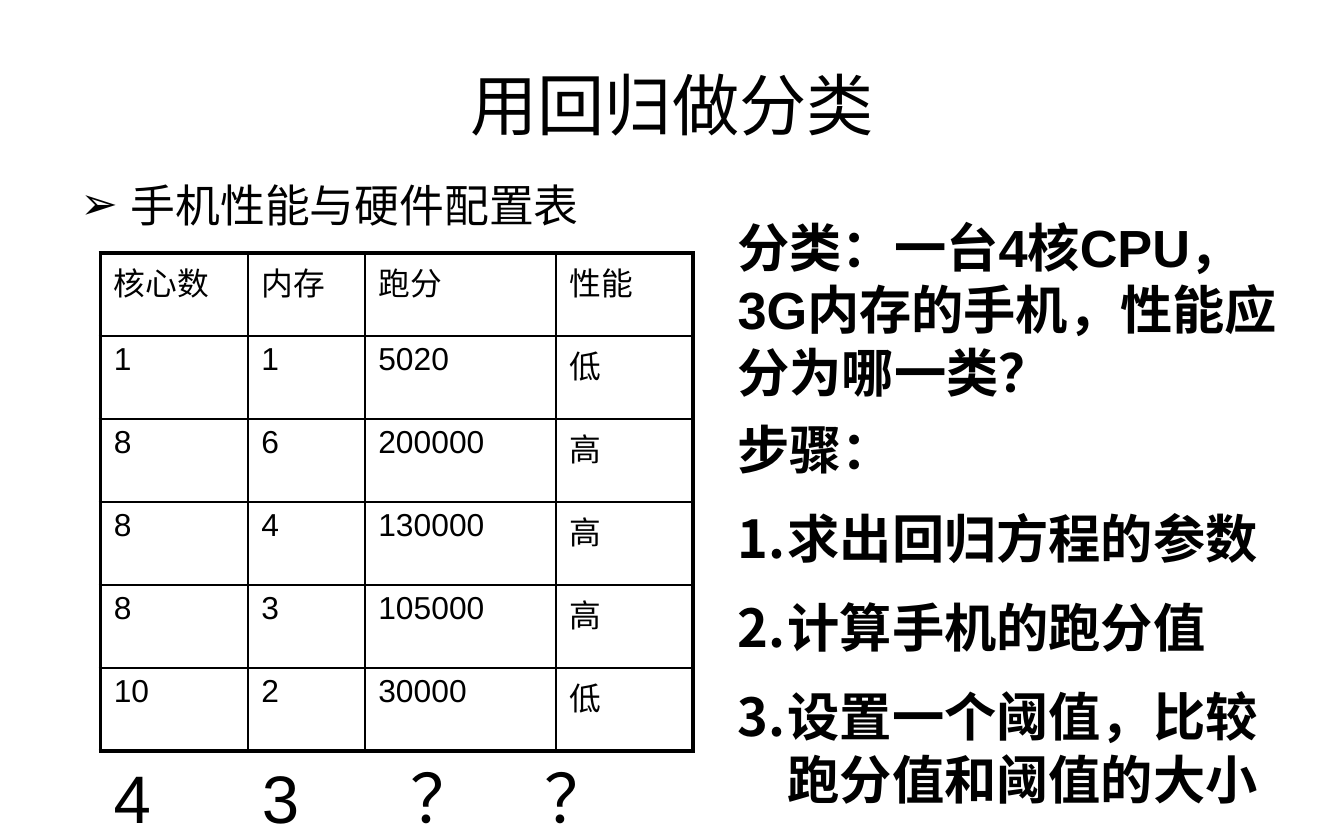
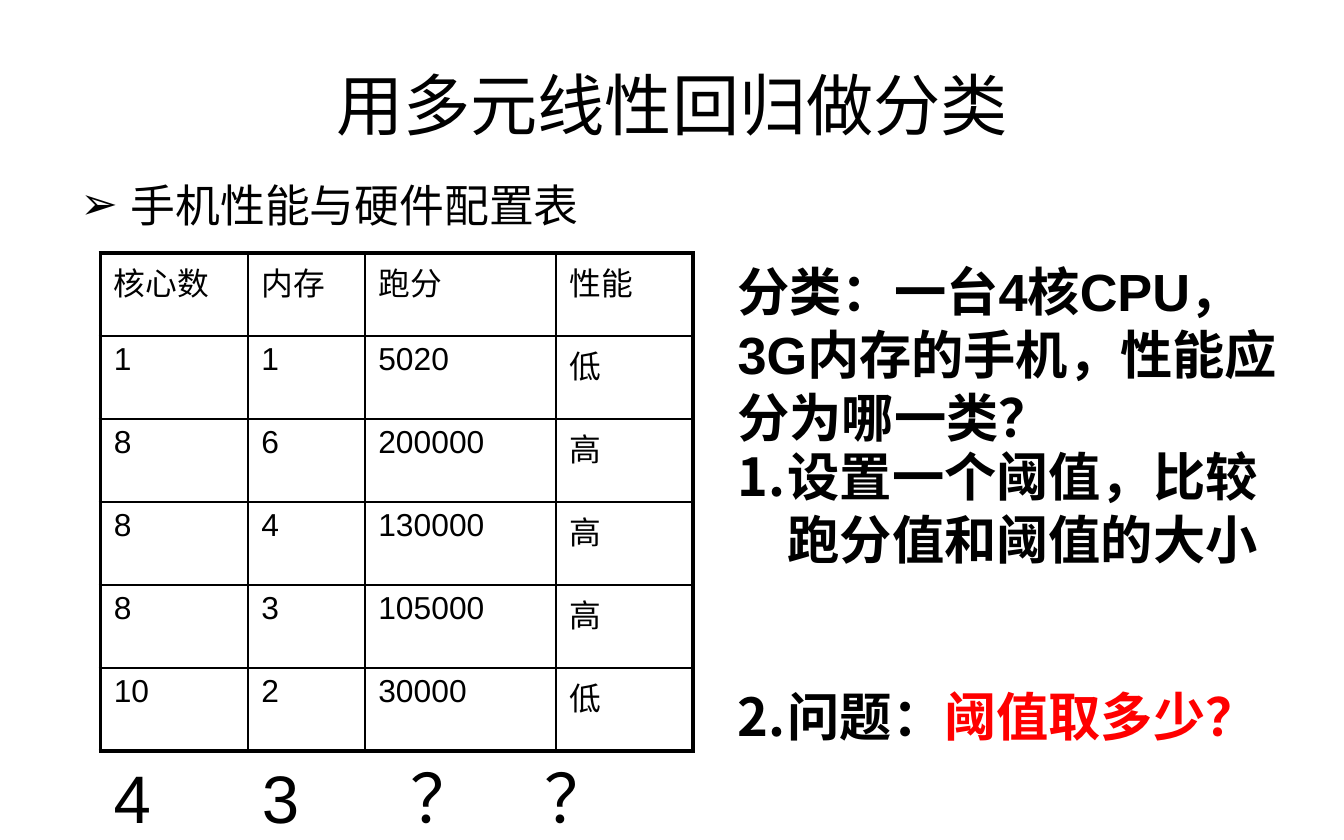
from dataclasses import dataclass

from pptx import Presentation, util as u
from pptx.dml.color import RGBColor
from pptx.enum import lang, text
from pptx.oxml.ns import qn
from lxml import etree

FONT = "Arial"
BLACK, RED = "000000", "FF0000"
THIN, THICK = 1, 2.25
HANGING = 0.95

PHONES = [
    ("核心数", "内存", "跑分", "性能"),
    ("1", "1", "5020", "低"),
    ("8", "6", "200000", "高"),
    ("8", "4", "130000", "高"),
    ("8", "3", "105000", "高"),
    ("10", "2", "30000", "低"),
]
COLUMN_WIDTHS = (2.79, 2.21, 3.61, 2.59)
ROW_HEIGHT = 1.57
UNKNOWN_PHONE = "4\t3\t？\t？"
UNKNOWN_TABS = (2.8, 5.6, 8.15)
QUESTION = "分类：一台4核CPU，3G内存的手机，性能应分为哪一类？"
COMPARE = "设置一个阈值，比较跑分值和阈值的大小"


@dataclass(frozen=True)
class Box:
    left: float
    top: float
    width: float
    height: float

    def lengths(self) -> list[u.Length]:
        return [u.Cm(n) for n in (self.left, self.top, self.width, self.height)]


@dataclass(frozen=True)
class Line:
    wording: str
    highlight: str = ""
    bullet: str = ""
    hanging: bool = False
    before: float = 0
    tabs: tuple[float, ...] = ()


@dataclass(frozen=True)
class Block:
    box: Box
    lines: tuple[Line, ...]
    size: float
    bold: bool = False
    grows: bool = True


@dataclass(frozen=True)
class Lesson:
    title: str
    blocks: tuple[Block, ...]


TITLE_BOX = Box(1.27, 0.64, 22.86, 2.64)
TABLE_BOX = Box(1.9, 4.78, sum(COLUMN_WIDTHS), ROW_HEIGHT * len(PHONES))
CAPTION = Block(Box(1.27, 3.23, 22.86, 10.46),
                (Line("手机性能与硬件配置表", bullet="➢", hanging=True),), 24, grows=False)
UNKNOWN = Block(Box(1.9, 14.17, 11.81, 1.8), (Line(UNKNOWN_PHONE, tabs=UNKNOWN_TABS),), 36)


def notes_block(top: float, height: float, *lines: Line) -> Block:
    return Block(Box(13.69, top, 11, height), lines, 28, bold=True)


def step(wording: str, highlight: str = "", before: float = 14) -> Line:
    return Line(wording, highlight, "1.", True, before)


LESSONS = (
    Lesson("用回归做分类", (
        notes_block(3.94, 3.84, Line(QUESTION)),
        notes_block(7.77, 8.03, Line("步骤：", hanging=True), step("求出回归方程的参数"),
                    step("计算手机的跑分值"), step(COMPARE)),
    )),
    Lesson("用多元线性回归做分类", (
        notes_block(8.28, 6.25, step(COMPARE, before=0),
                    step("问题：", "阈值取多少？", before=61)),
        notes_block(4.78, 3.84, Line(QUESTION)),
    )),
)


def rgb(color: str) -> RGBColor:
    return RGBColor.from_string(color)


def apply(target, **values) -> None:
    for name, value in values.items():
        setattr(target, name, value)


def add_words(paragraph, words: str, size: float, bold: bool = False, color: str = BLACK) -> None:
    run = paragraph.add_run()
    run.text = words
    apply(run.font, name=FONT, size=u.Pt(size), bold=bold,
          language_id=lang.MSO_LANGUAGE_ID.SIMPLIFIED_CHINESE)
    run.font.color.rgb = rgb(color)


def format_line(paragraph, line: Line) -> None:
    paragraph.space_before = u.Pt(line.before)
    props = paragraph._p.get_or_add_pPr()
    if line.hanging:
        props.set("marL", str(u.Cm(HANGING)))
        props.set("indent", str(-u.Cm(HANGING)))
    if line.bullet == "1.":
        etree.SubElement(props, qn("a:buFontTx"))
        etree.SubElement(props, qn("a:buAutoNum"), type="arabicPeriod")
    elif line.bullet:
        etree.SubElement(props, qn("a:buFont"), typeface=FONT)
        etree.SubElement(props, qn("a:buChar"), char=line.bullet)
    if line.tabs:
        stops = etree.SubElement(props, qn("a:tabLst"))
        for place in line.tabs:
            etree.SubElement(stops, qn("a:tab"), pos=str(u.Cm(place)), algn="l")


def add_block(slide, block: Block) -> None:
    frame = slide.shapes.add_textbox(*block.box.lengths()).text_frame
    fit = text.MSO_AUTO_SIZE.SHAPE_TO_FIT_TEXT if block.grows else text.MSO_AUTO_SIZE.NONE
    apply(frame, word_wrap=True, auto_size=fit)
    for index, line in enumerate(block.lines):
        paragraph = frame.add_paragraph() if index else frame.paragraphs[0]
        format_line(paragraph, line)
        add_words(paragraph, line.wording, block.size, block.bold)
        if line.highlight:
            add_words(paragraph, line.highlight, block.size, block.bold, RED)


def add_border(cell, side: str, width: float) -> None:
    edge = etree.SubElement(cell._tc.get_or_add_tcPr(), qn(f"a:ln{side}"), w=str(u.Pt(width)))
    fill = etree.SubElement(edge, qn("a:solidFill"))
    etree.SubElement(fill, qn("a:srgbClr"), val=BLACK)


def add_phone_table(slide) -> None:
    row_count, column_count = len(PHONES), len(COLUMN_WIDTHS)
    table = slide.shapes.add_table(row_count, column_count, *TABLE_BOX.lengths()).table
    apply(table, first_row=False, horz_banding=False)
    for column, width in zip(table.columns, COLUMN_WIDTHS):
        column.width = u.Cm(width)
    for r, phone in enumerate(PHONES):
        table.rows[r].height = u.Cm(ROW_HEIGHT)
        for c, value in enumerate(phone):
            cell = table.cell(r, c)
            apply(cell, margin_left=u.Cm(0.25), margin_right=u.Cm(0.25),
                  margin_top=u.Cm(0.1), margin_bottom=u.Cm(0.1))
            add_words(cell.text_frame.paragraphs[0], value, 17)
            outer = {"L": c == 0, "R": c == column_count - 1,
                     "T": r == 0, "B": r == row_count - 1}
            for side, is_outer in outer.items():
                add_border(cell, side, THICK if is_outer else THIN)
            cell.fill.background()


def add_title(slide, wording: str) -> None:
    title = slide.shapes.title
    apply(title, **dict(zip(("left", "top", "width", "height"), TITLE_BOX.lengths())))
    title.text_frame.vertical_anchor = text.MSO_ANCHOR.MIDDLE
    paragraph = title.text_frame.paragraphs[0]
    paragraph.alignment = text.PP_ALIGN.CENTER
    add_words(paragraph, wording, 36)


def main() -> None:
    deck = Presentation()
    apply(deck, slide_width=u.Cm(25.4), slide_height=u.Cm(15.88))
    title_only = deck.slide_layouts[5]
    for lesson in LESSONS:
        slide = deck.slides.add_slide(title_only)
        add_title(slide, lesson.title)
        add_block(slide, CAPTION)
        add_phone_table(slide)
        for block in (*lesson.blocks, UNKNOWN):
            add_block(slide, block)
    deck.save("out.pptx")


if __name__ == "__main__":
    main()
